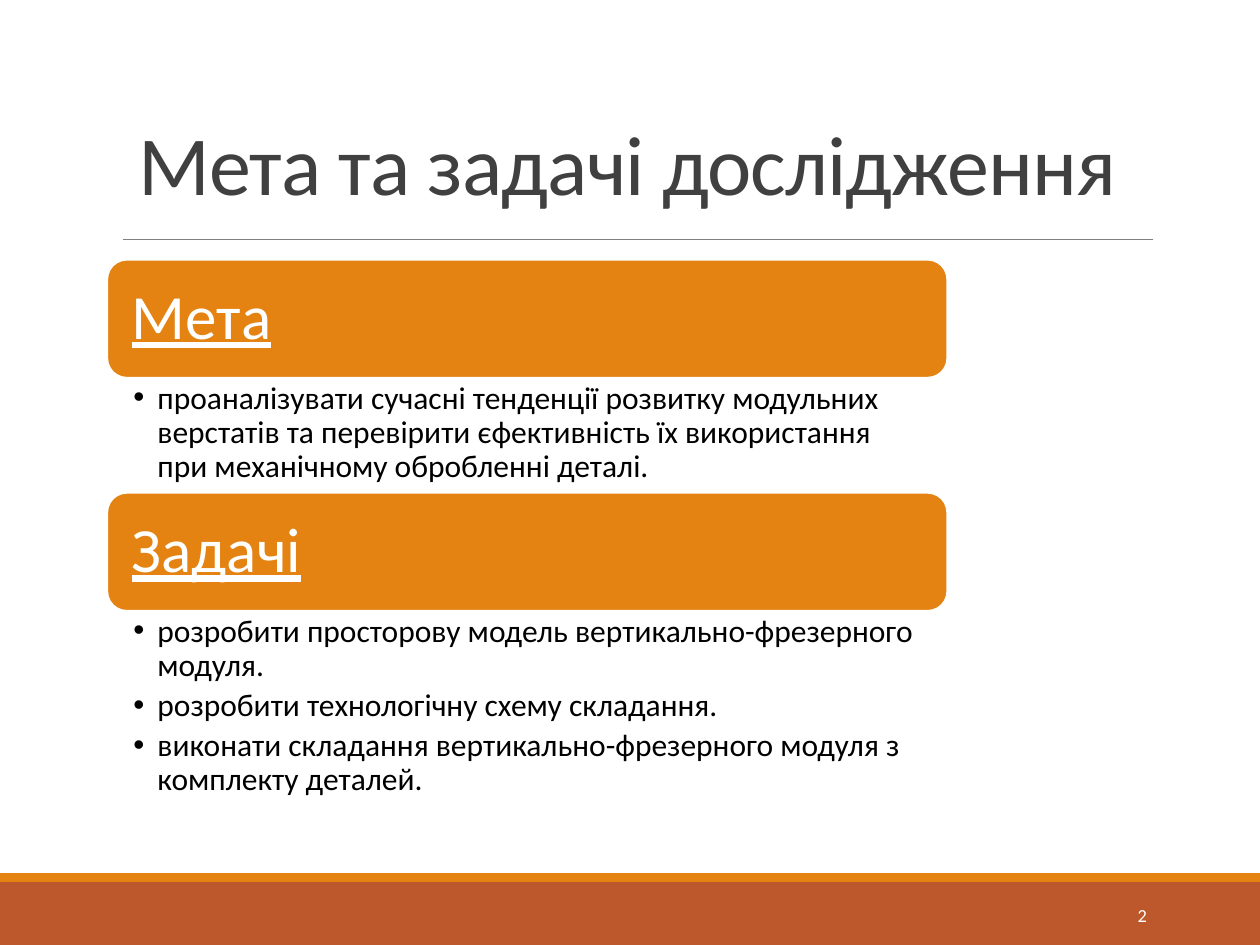
import lxml.etree
import pptx
import pptx.dml.color
import pptx.enum.shapes
import pptx.enum.text
import pptx.oxml.ns
import pptx.util

Inches, Pt = pptx.util.Inches, pptx.util.Pt
SHAPE = pptx.enum.shapes.MSO_SHAPE
ANCHOR = pptx.enum.text.MSO_ANCHOR
ALIGN = pptx.enum.text.PP_ALIGN
qn = pptx.oxml.ns.qn

ORANGE, RUST, WHITE = "E48312", "BD582C", "FFFFFF"
SECTIONS = [
    ("Мета", 0.91, [
        "проаналізувати сучасні тенденції розвитку модульних верстатів та "
        "перевірити єфективність їх використання при механічному обробленні деталі.",
    ]),
    ("Задачі", 1.56, [
        "розробити просторову модель вертикально-фрезерного модуля.",
        "розробити технологічну схему складання.",
        "виконати складання вертикально-фрезерного модуля з комплекту деталей.",
    ]),
]


def rgb(color):
    """Turn a hex string into a colour."""
    return pptx.dml.color.RGBColor.from_string(color)


def add_box(s, kind, box, fill, line=None):
    """Add a filled shape without a shadow."""
    sp = s.shapes.add_shape(kind, *map(Inches, box))
    sp.shadow.inherit = False
    sp.fill.solid()
    sp.fill.fore_color.rgb = rgb(fill)
    if line:
        sp.line.color.rgb = rgb(line)
        sp.line.width = Pt(1.25)
    else:
        sp.line.fill.background()
    return sp


def set_text(sp, lines, size, color, anchor, insets=(0.1, 0.05, 0.1, 0.05),
             align=ALIGN.LEFT, spacing=1.0, after=0):
    """Fill a shape with paragraphs in one style."""
    tf = sp.text_frame
    tf.word_wrap = True
    tf.vertical_anchor = anchor
    tf.margin_left, tf.margin_top, tf.margin_right, tf.margin_bottom = map(Inches, insets)
    tf.text = "\n".join(lines)
    for p in tf.paragraphs:
        p.alignment = align
        p.line_spacing = spacing
        p.space_after = Pt(after)
        for r in p.runs:
            r.font.name = "Calibri"
            r.font.size = Pt(size)
            r.font.color.rgb = rgb(color)
    return tf


def add_bullet(p, indent):
    """Give a paragraph a round bullet with a hanging indent."""
    pPr = p._p.get_or_add_pPr()
    pPr.set("marL", str(Inches(indent)))
    pPr.set("indent", str(-Inches(indent)))
    lxml.etree.SubElement(pPr, qn("a:buFont")).set("typeface", "Arial")
    lxml.etree.SubElement(pPr, qn("a:buChar")).set("char", "•")


def add_title(s, left, top, width, height):
    """Add the slide title and the rule under it."""
    sp = s.shapes.add_textbox(*map(Inches, (left, top, width, height)))
    tf = set_text(sp, ["Мета та задачі дослідження"], 48, "404040", ANCHOR.BOTTOM, spacing=0.85)
    tf.paragraphs[0].runs[0].font._element.set("spc", "-50")
    y = Inches(top + height + 0.16)
    rule = s.shapes.add_connector(pptx.enum.shapes.MSO_CONNECTOR.STRAIGHT,
                                  Inches(left - 0.02), y, Inches(left + 8.15), y)
    rule.line.color.rgb = rgb("808080")
    rule.line.width = Pt(0.5)
    lxml.etree.SubElement(rule._element.spPr, qn("a:effectLst"))


def add_sections(s, left, top, width, header_height):
    """Stack each heading bar above its bullet list."""
    for heading, body_height, bullets in SECTIONS:
        bar = add_box(s, SHAPE.ROUNDED_RECTANGLE, (left, top, width, header_height), ORANGE, WHITE)
        tf = set_text(bar, [heading], 36, WHITE, ANCHOR.MIDDLE, (0.15,) * 4, spacing=0.9)
        tf.paragraphs[0].runs[0].font.underline = True
        top += header_height
        body = s.shapes.add_textbox(*map(Inches, (left, top, width, body_height)))
        tf = set_text(body, bullets, 18, "000000", ANCHOR.TOP, (0.21, 0.03, 0.18, 0.03),
                      spacing=0.9, after=3.6)
        for p in tf.paragraphs:
            add_bullet(p, 0.19)
        top += body_height


def add_footer(s, left, top, width, height):
    """Add the two footer bands and the slide number."""
    stripe = 0.07
    add_box(s, SHAPE.RECTANGLE, (left, top + stripe, width, height - stripe), RUST)
    add_box(s, SHAPE.RECTANGLE, (left, top, width, stripe), ORANGE)
    sp = s.shapes.add_textbox(*map(Inches, (left + 8.12, top + 0.13, 1.08, 0.4)))
    tf = set_text(sp, [""], 10.5, WHITE, ANCHOR.MIDDLE, align=ALIGN.RIGHT)
    p = tf.paragraphs[0]
    field = lxml.etree.SubElement(p._p, qn("a:fld"))
    field.set("id", "{B6F15528-21DE-4FAA-801E-634DDDAF4B2B}")
    field.set("type", "slidenum")
    r = p.add_run()
    r.text = "2"
    r.font.name = "Calibri"
    r.font.size = Pt(10.5)
    r.font.color.rgb = rgb(WHITE)
    p._p.remove(field)


def main():
    """Build the slide and save it."""
    prs = pptx.Presentation()
    prs.slide_width, prs.slide_height = Inches(10), Inches(7.5)
    s = prs.slides.add_slide(prs.slide_layouts[6])
    add_footer(s, 0, 6.93, 10, 0.57)
    add_title(s, 1, 0.76, 9, 0.98)
    add_sections(s, 0.85, 2.06, 6.67, 0.94)
    prs.save("out.pptx")


if __name__ == "__main__":
    main()
